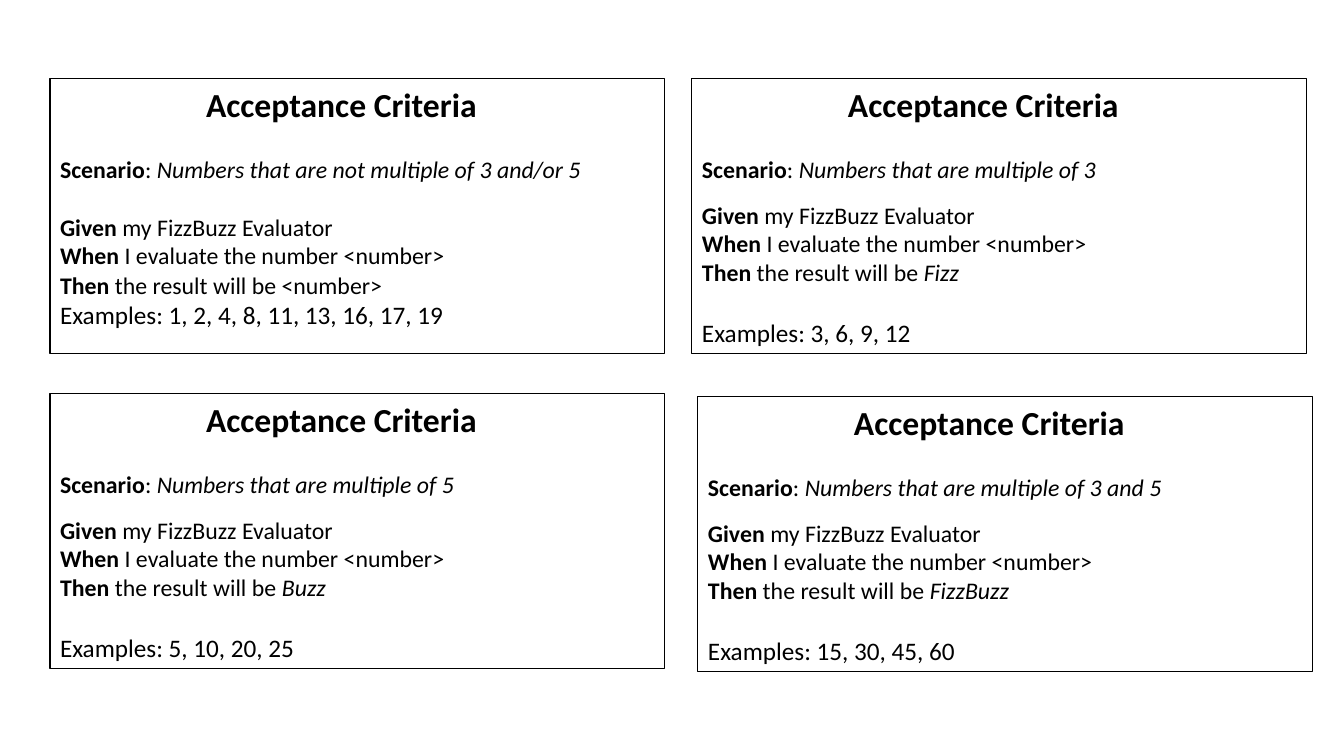
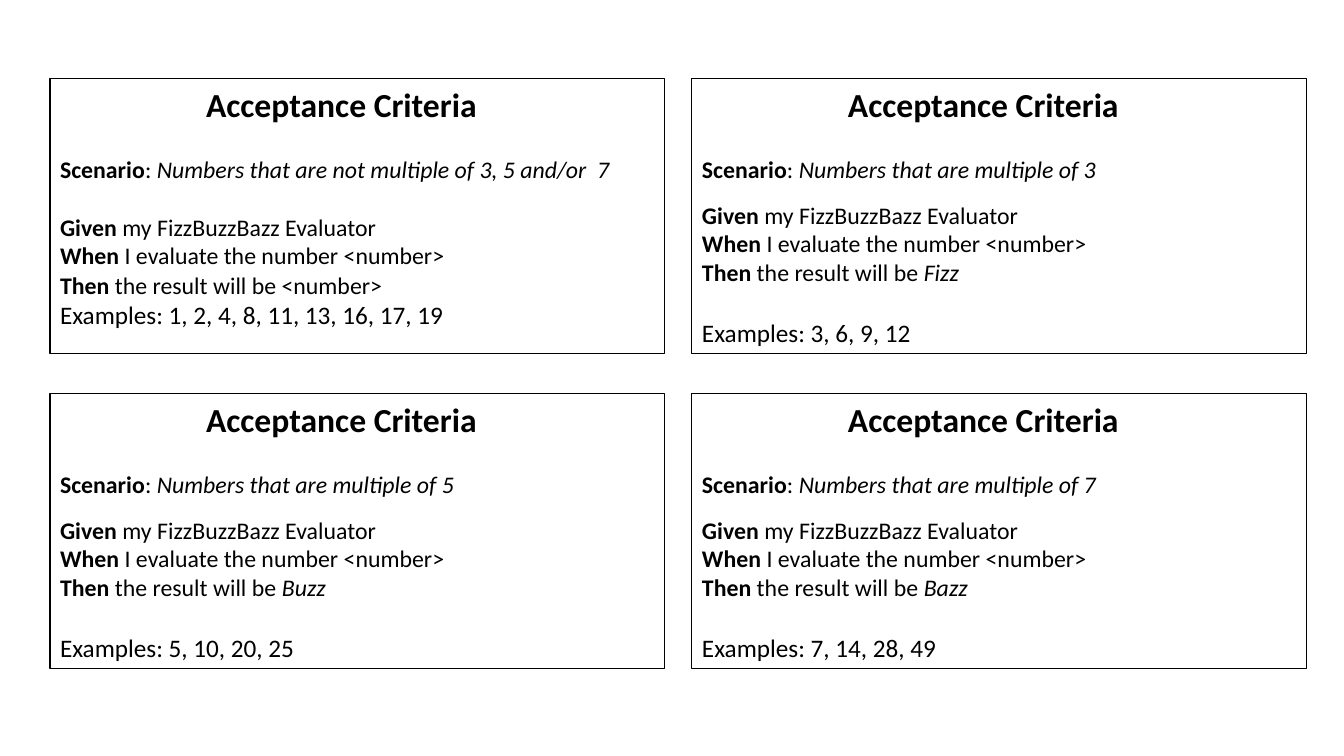
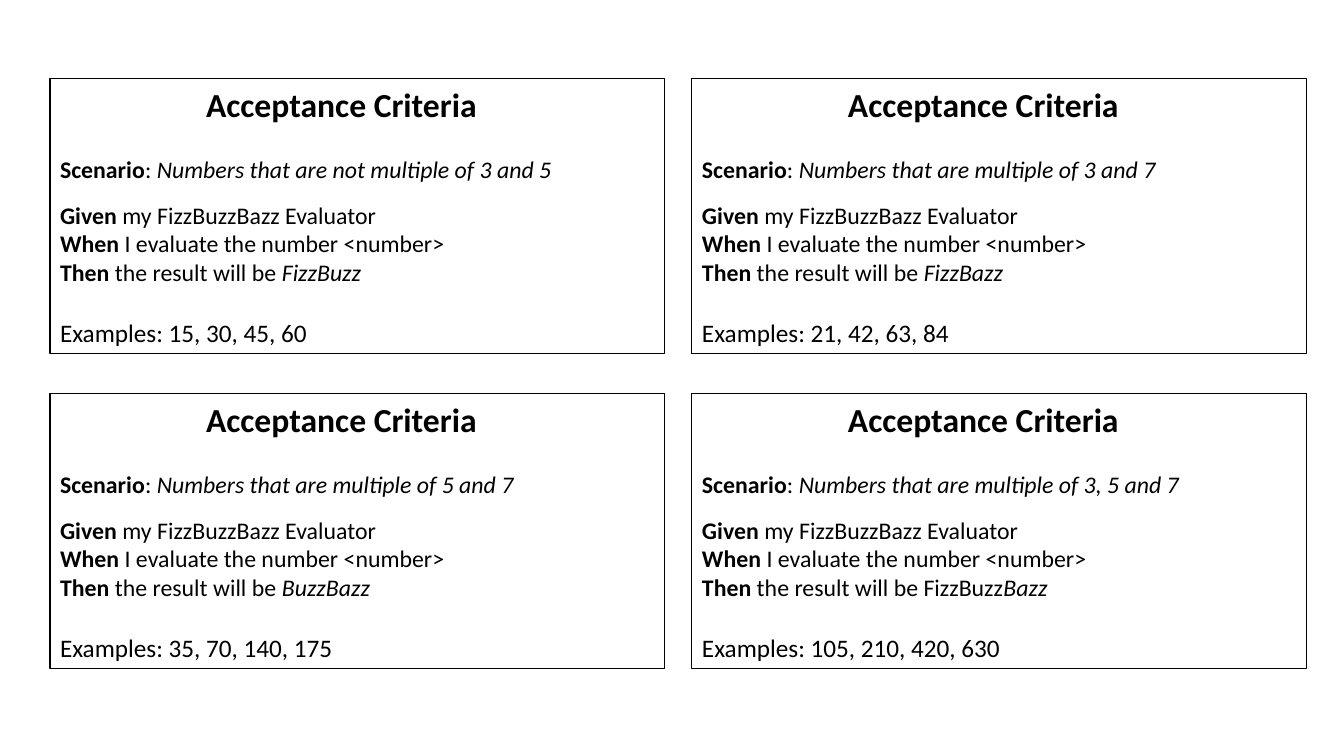
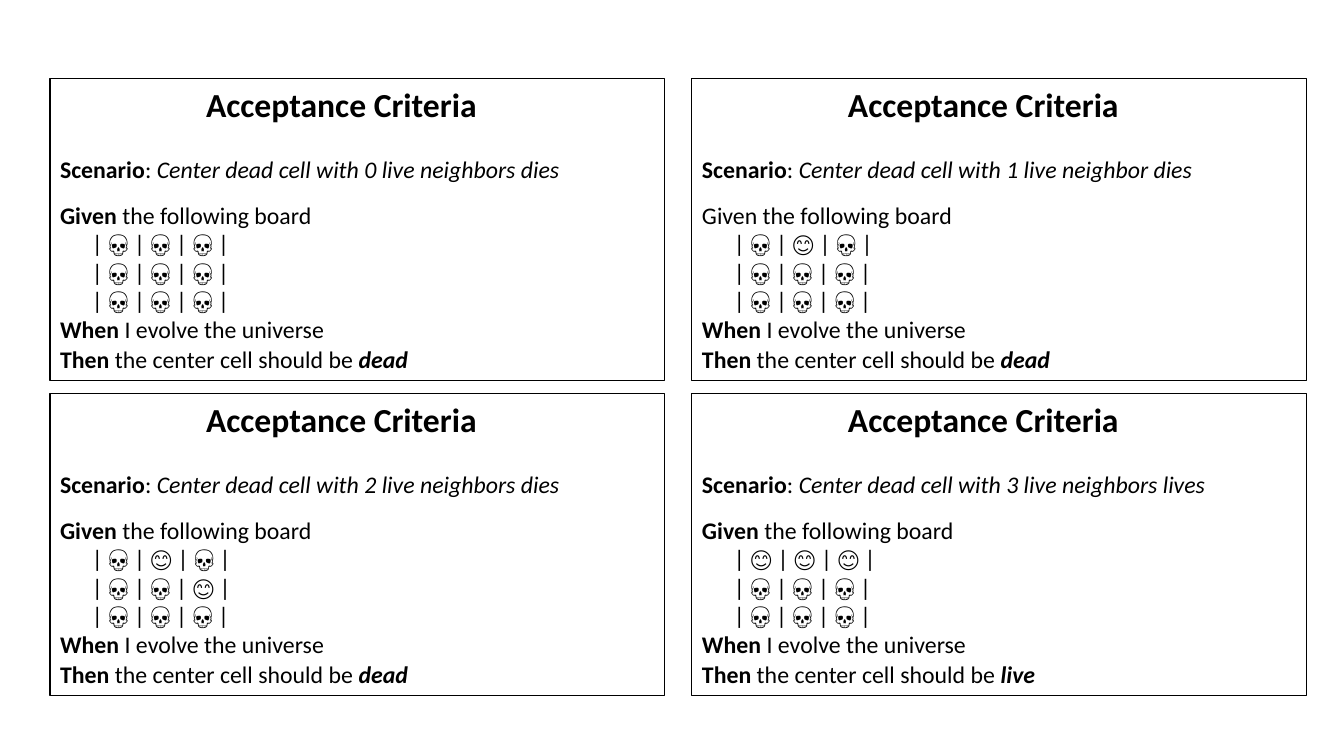
"""Build four slides of acceptance criteria cards for FizzBuzz and Game of Life katas."""
from dataclasses import dataclass

from pptx import Presentation
from pptx.dml.color import RGBColor
from pptx.enum.shapes import MSO_SHAPE
from pptx.enum.text import MSO_ANCHOR, PP_ALIGN
from pptx.util import Emu, Pt

RECTANGLE = MSO_SHAPE.RECTANGLE
TOP = MSO_ANCHOR.TOP
LEFT = PP_ALIGN.LEFT
PX = 914400 / 100.8

HEADING = "Acceptance Criteria"
ANY_NUMBER = "<number>"
DEAD, LIVE = "💀", "😊"
NO_LIFE = DEAD * 3

FIZZ_BUZZ_SLIDES = [
    ("FizzBuzz", [
        ("Numbers that are not multiple of 3 and/or 5", ANY_NUMBER, "", "1, 2, 4, 8, 11, 13, 16, 17, 19"),
        ("Numbers that are multiple of 3", "", "Fizz", "3, 6, 9, 12"),
        ("Numbers that are multiple of 5", "", "Buzz", "5, 10, 20, 25"),
        ("Numbers that are multiple of 3 and 5", "", "FizzBuzz", "15, 30, 45, 60"),
    ]),
    ("FizzBuzzBazz", [
        ("Numbers that are not multiple of 3, 5 and/or  7", ANY_NUMBER, "", "1, 2, 4, 8, 11, 13, 16, 17, 19"),
        ("Numbers that are multiple of 3", "", "Fizz", "3, 6, 9, 12"),
        ("Numbers that are multiple of 5", "", "Buzz", "5, 10, 20, 25"),
        ("Numbers that are multiple of 7", "", "Bazz", "7, 14, 28, 49"),
    ]),
    ("FizzBuzzBazz", [
        ("Numbers that are not multiple of 3 and 5", "", "FizzBuzz", "15, 30, 45, 60"),
        ("Numbers that are multiple of 3 and 7", "", "FizzBazz", "21, 42, 63, 84"),
        ("Numbers that are multiple of 5 and 7", "", "BuzzBazz", "35, 70, 140, 175"),
        ("Numbers that are multiple of 3, 5 and 7", "FizzBuzz", "Bazz", "105, 210, 420, 630"),
    ]),
]

LIFE_CARDS = [
    ("Center dead cell with 0 live neighbors dies", "bold", [NO_LIFE, NO_LIFE, NO_LIFE], "dead"),
    ("Center dead cell with 1 live neighbor dies", "plain", [DEAD + LIVE + DEAD, NO_LIFE, NO_LIFE], "dead"),
    ("Center dead cell with 2 live neighbors dies", "bold",
     [DEAD + LIVE + DEAD, DEAD + DEAD + LIVE, NO_LIFE], "dead"),
    ("Center dead cell with 3 live neighbors lives", "bold", [LIVE * 3, NO_LIFE, NO_LIFE], "live"),
]


@dataclass(frozen=True)
class Theme:
    font: str = "Calibri"
    ink: RGBColor = RGBColor(0, 0, 0)
    border: float = 0.75
    heading: int = 24
    body: int = 17
    examples: int = 18
    heading_gap: int = 22
    given_gap: int = 12
    wide_gap: float = 20.5
    last_gap: int = 1
    heading_indent: int = 146
    board_indent: int = 32


THEME = Theme()
STYLES = {
    "plain": {"bold": False, "italic": False},
    "bold": {"bold": True, "italic": False},
    "italic": {"bold": False, "italic": True},
    "strong": {"bold": True, "italic": True},
}

SLIDE_W, SLIDE_H = 1344, 756
GRID_LEFT, GRID_TOP = 50, 79
PITCH_X, PITCH_Y = 642, 315
CARD_W = 615
FIZZ_H, LIFE_H = 275, 302
INSETS = {"margin_left": 10, "margin_right": 10, "margin_top": 5, "margin_bottom": 5}
SHIFTED_CARD, SHIFT = (0, 3), (6, 3)


def px(length):
    return Emu(round(length * PX))


def set_all(target, values):
    for name, value in values.items():
        setattr(target, name, value)


def line(*runs, size=THEME.body, gap=0, indent=0):
    return {"runs": runs, "size": size, "gap": gap, "indent": indent}


def opening(scenario):
    return [
        line((HEADING, "bold"), size=THEME.heading, indent=THEME.heading_indent),
        line(("Scenario", "bold"), (": ", "plain"), (scenario, "italic"), gap=THEME.heading_gap),
    ]


def fizz_lines(evaluator, scenario, plain_result, result, examples):
    any_number = plain_result == ANY_NUMBER
    return opening(scenario) + [
        line(("Given", "bold"), (f" my {evaluator} Evaluator", "plain"),
             gap=THEME.wide_gap if any_number else THEME.given_gap),
        line(("When", "bold"), (" I evaluate the number <number>", "plain")),
        line(("Then", "bold"), (f" the result will be {plain_result}", "plain"), (result, "italic"),
             gap=THEME.last_gap if any_number else 0),
        line((f"Examples: {examples}", "plain"), size=THEME.examples,
             gap=0 if any_number else THEME.heading_gap),
    ]


def life_lines(scenario, given_style, board, outcome):
    return opening(scenario) + [
        line(("Given", given_style), (" the following board", "plain"), gap=THEME.given_gap),
        *[line((f"| {' | '.join(cells)} |", "plain"), indent=THEME.board_indent) for cells in board],
        line(("When", "bold"), (" I evolve the universe", "plain")),
        line(("Then", "bold"), (" the center cell should be ", "plain"), (outcome, "strong"),
             gap=THEME.last_gap),
    ]


def write_line(paragraph, content):
    paragraph.alignment = LEFT
    if content["gap"]:
        paragraph.space_before = Pt(content["gap"])
    if content["indent"]:
        properties = paragraph._p.get_or_add_pPr()
        properties.set("marL", str(px(content["indent"])))
        properties.set("indent", "0")
    for text, style in content["runs"]:
        if text:
            run = paragraph.add_run()
            run.text = text
            set_all(run.font, {"name": THEME.font, "size": Pt(content["size"]), **STYLES[style]})
            run.font.color.rgb = THEME.ink


def add_card(slide, left, top, height, lines):
    card = slide.shapes.add_shape(RECTANGLE, px(left), px(top), px(CARD_W), px(height))
    card.shadow.inherit = False
    card.fill.background()
    card.line.color.rgb = THEME.ink
    card.line.width = Pt(THEME.border)
    frame = card.text_frame
    set_all(frame, {"word_wrap": True, "vertical_anchor": TOP})
    set_all(frame, {side: px(inset) for side, inset in INSETS.items()})
    for number, content in enumerate(lines):
        write_line(frame.add_paragraph() if number else frame.paragraphs[0], content)


def main():
    deck = Presentation()
    deck.slide_width, deck.slide_height = px(SLIDE_W), px(SLIDE_H)
    slides = [(FIZZ_H, [fizz_lines(evaluator, *card) for card in cards])
              for evaluator, cards in FIZZ_BUZZ_SLIDES]
    slides.append((LIFE_H, [life_lines(*card) for card in LIFE_CARDS]))
    for page, (height, cards) in enumerate(slides):
        slide = deck.slides.add_slide(deck.slide_layouts[6])
        for place, lines in enumerate(cards):
            row, column = divmod(place, 2)
            shift_x, shift_y = SHIFT if (page, place) == SHIFTED_CARD else (0, 0)
            add_card(slide, GRID_LEFT + column * PITCH_X + shift_x,
                     GRID_TOP + row * PITCH_Y + shift_y, height, lines)
    deck.save("out.pptx")


if __name__ == "__main__":
    main()
